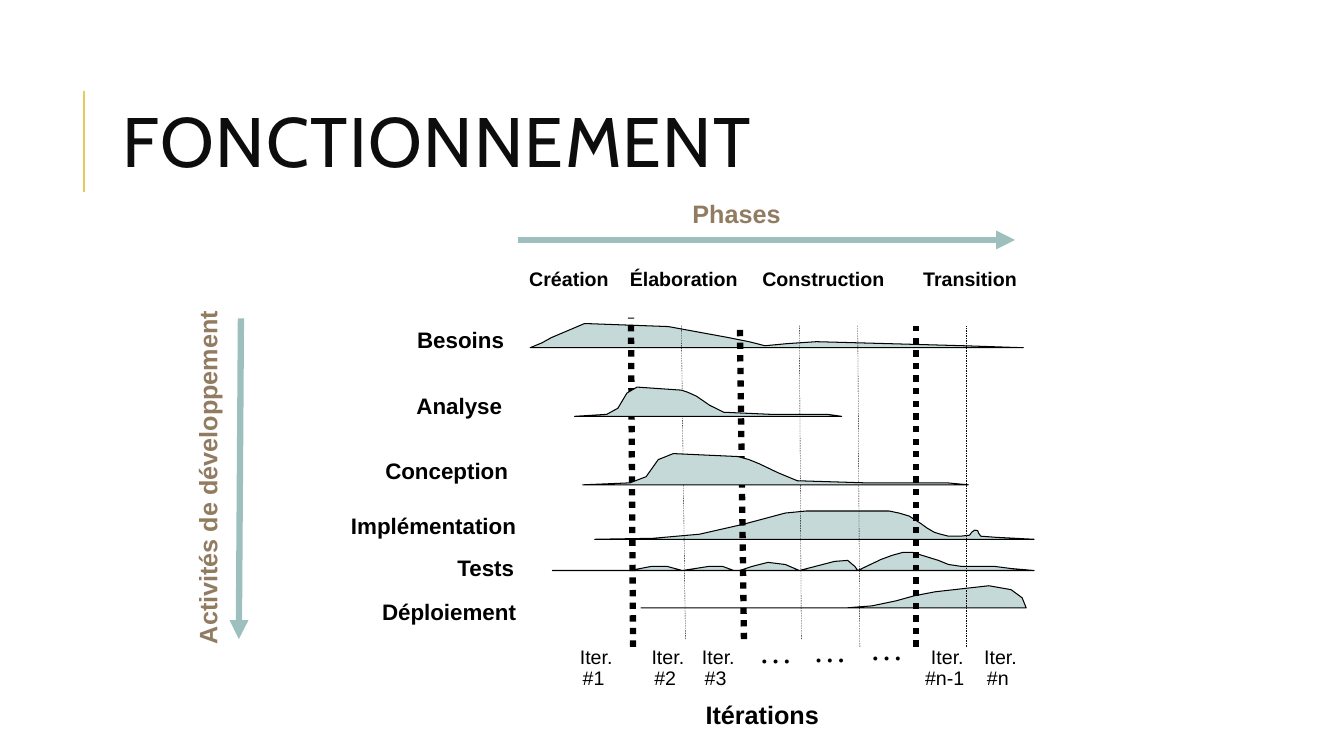
from lxml import etree
from pptx import Presentation
from pptx.dml.color import RGBColor
from pptx.enum import dml, shapes, text
from pptx.oxml.ns import qn
from pptx.util import Pt

BLACK = RGBColor(0, 0, 0)
INK = RGBColor(0x0D, 0x0D, 0x0D)
GOLD = RGBColor(0xE3, 0xCC, 0x5A)
BROWN = RGBColor(0x92, 0x7C, 0x61)
TEAL = RGBColor(0x9D, 0xBF, 0xBE)
PALE = RGBColor(0xC4, 0xD9, 0xD8)

LEFT, CENTER, RIGHT = (text.PP_ALIGN.LEFT, text.PP_ALIGN.CENTER,
                       text.PP_ALIGN.RIGHT)

BESOINS = [(6.7, 0), (15.4, 3.6), (21.8, 7.2), (45.6, 17.3), (105.4, 15.1),
           (132.7, 10.1), (148.6, 7.2), (163, 4.3), (174.5, 1.4),
           (190.3, 2.9), (211.2, 4.3), (262.3, 2.9), (316.3, 1.4), (359, 0)]
ANALYSE = [(38.4, 0), (61.4, 1.4), (69.4, 5.8), (75.8, 16.6), (83, 20.9),
           (114.7, 18.7), (119, 17.3), (125.5, 14.4), (134.9, 7.9),
           (145, 2.9), (178.8, 1.4), (219.1, 1.4), (229.2, 0)]
CONCEPT = [(44.2, 0), (78, 1.4), (89.5, 5.8), (98.2, 18), (109, 22.3),
           (155, 20.2), (163, 18), (170.2, 15.1), (183.8, 8.6),
           (197.5, 2.9), (246.2, 1.4), (304.6, 1.4), (319.7, 0)]
IMPLEM = [(52.8, 0), (94.6, 0.7), (127.7, 3.6), (159.4, 10.8), (188.9, 18.7),
          (204, 20.2), (263, 20.2), (270.2, 18.7), (277.4, 16.6),
          (285.4, 11.5), (290.4, 7.9), (295.4, 5), (299.8, 3.6),
          (305.5, 2.2), (314.2, 2.2), (320.6, 2.9), (322.1, 5),
          (324.2, 6.5), (326.4, 6.2), (327.1, 4.3), (328.6, 2.2),
          (339.4, 1.4), (366.7, 0)]
TESTS = [(22.6, 0), (78, 0), (93.1, 2.9), (104.6, 2.9), (115.4, 0),
         (134.2, 2.9), (144.2, 2.9), (152.2, 0), (156.5, 0), (165.1, 2.9),
         (176.6, 5.8), (188.9, 4.3), (199, 0), (224.2, 6.5), (233.5, 7.2),
         (238.6, 2.9), (240.7, 0), (257.3, 7.9), (265.2, 10.8), (273.1, 13),
         (279.6, 13), (298.3, 7.2), (305.5, 4.3), (314.9, 2.9),
         (338.6, 2.9), (350.2, 1.4), (366.7, 0)]
DEPLOY = [(85.9, 0), (232.8, 0), (250.8, 1.4), (268.1, 5), (281, 8.6),
          (296.2, 11.5), (334.3, 15.8), (350.2, 13), (358.1, 7.2), (361, 0)]

BACK = [("Besoins", -12, 10.4, 23.4, BESOINS),
        ("Implémentation", -3.4, 142.9, 160.2, IMPLEM),
        ("Tests", -4.8, 173.2, 182.5, TESTS),
        ("Déploiement", -3.4, 204.1, 209.2, DEPLOY)]
FRONT = [("Analyse", -13.4, 57.2, 72.4, ANALYSE),
         ("Conception", -9.1, 104, 121.3, CONCEPT)]
PHASES = [("Création", -2.6, 74), ("Élaboration", 72.2, 88.6),
          ("Construction", 170.2, 92), ("Transition", 283.9, 74)]
ITERS = [("#1", 52), ("#2", 103.2), ("#3", 139.2), ("#n-1", 302.8),
         ("#n", 340.8)]
DOTS = [(163, 221.4), (201.8, 220.7), (242.2, 219.2)]
THICK = [(80.2, 237, 78.7, 1.8), (159.4, 231.5, 156.5, 7.6),
         (282.5, 237, 282.5, 7.6)]
THIN = [(117.6, 231.5, 114.7, 7.6), (200.4, 231.5, 199, 7.6),
        (242.2, 237, 240.7, 7.6), (318.5, 237, 318.5, 7.6)]


def label(slide, x, y, w, h, lines, size, color=BLACK, bold=False,
          align=LEFT, font="Arial", inset=(0, 0), wrap=True, space=0.9):
    box = slide.shapes.add_textbox(Pt(x), Pt(y), Pt(w), Pt(h))
    frame = box.text_frame
    frame.word_wrap = wrap
    frame.margin_left = frame.margin_right = Pt(inset[0])
    frame.margin_top = frame.margin_bottom = Pt(inset[1])
    para = frame.paragraphs[0]
    para.alignment = align
    para.line_spacing = space
    for i, line in enumerate(lines):
        if i:
            para.add_line_break()
        run = para.add_run()
        run.text = line
        run.font.name = font
        run.font.size = Pt(size)
        run.font.bold = bold
        run.font.color.rgb = color
    return box


def stroke(slide, x1, y1, x2, y2, color, width, dash=None, arrow=False):
    line = slide.shapes.add_connector(
        shapes.MSO_CONNECTOR.STRAIGHT, Pt(x1), Pt(y1), Pt(x2), Pt(y2))
    line.line.color.rgb = color
    line.line.width = Pt(width)
    if dash:
        line.line.dash_style = dash
    if arrow:
        etree.SubElement(line.line._get_or_add_ln(), qn("a:tailEnd"),
                         type="triangle")
    etree.SubElement(line._element.spPr, qn("a:effectLst"))


def hump(slide, x, base, curve):
    spots = [(Pt(x + dx), Pt(base - up)) for dx, up in curve]
    form = slide.shapes.build_freeform(*spots[0], scale=1.0)
    form.add_line_segments(spots[1:], close=True)
    shape = form.convert_to_shape()
    shape.shadow.inherit = False
    shape.fill.solid()
    shape.fill.fore_color.rgb = PALE
    shape.line.color.rgb = BLACK
    shape.line.width = Pt(0)


def rows(slide, x, y, items):
    for name, right, top, base, curve in items:
        label(slide, x + right - 182, y + top, 182, 17, [name], 16,
              bold=True, align=RIGHT)
        hump(slide, x, y + base, curve)


def title(slide, x, y, w, h):
    stroke(slide, x - 20.9, y + 90.8, x - 20.9, y + 18.8, GOLD, 1.5)
    box = label(slide, x, y, w, h, ["FONCTIONNEMENT"], 50, INK,
                font="Cabin", inset=(7.2, 3.6), space=0.8)
    box.text_frame.vertical_anchor = text.MSO_ANCHOR.MIDDLE
    run = box.text_frame.paragraphs[0].runs[0]
    run.font._element.set("spc", "100")


def work(slide, x, y, w, h):
    box = label(slide, x + (w - h) / 2, y + (h - w) / 2, h, w,
                ["Activités de développement"], 18, BROWN, True)
    box.rotation = 270
    stroke(slide, x + 32.4, y + 37.4, x + 30.9, y + 266.4, TEAL, 4.5,
           arrow=True)


def phases(slide, x, y):
    label(slide, x + 122.6, y - 81, 196, 19.4, ["Phases"], 18, BROWN, True)
    stroke(slide, x - 2, y - 53.6, x + 353, y - 53.6, TEAL, 4.5, arrow=True)
    for name, dx, w in PHASES:
        label(slide, x + dx, y - 32.6, w, 15.1, [name], 14, bold=True,
              align=CENTER)


def iters(slide, x, y):
    wide = 36
    for name, mid in ITERS:
        label(slide, x + mid - wide / 2, y + 237.6, wide, 30.2,
              [" Iter.", name], 14, align=CENTER, wrap=False)
    for dx, dy in DOTS:
        label(slide, x + dx, y + dy, 39, 36.4, ["…"], 24, wrap=False,
              font="Times New Roman", inset=(7.2, 3.6), space=1.0)
    label(slide, x + 132, y + 276.8, 196, 19.4, ["Itérations"], 18,
          bold=True)


def chart(slide, x, y):
    rows(slide, x, y, BACK)
    for group, width, dash in (
            (THICK, 4.5, dml.MSO_LINE.ROUND_DOT),
            (THIN, 0.25, dml.MSO_LINE.DASH)):
        for x1, y1, x2, y2 in group:
            stroke(slide, x + x1, y + y1, x + x2, y + y2, BLACK, width, dash)
    rows(slide, x, y, FRONT)


def main():
    deck = Presentation()
    deck.slide_width, deck.slide_height = Pt(960), Pt(540)
    slide = deck.slides.add_slide(deck.slide_layouts[6])
    title(slide, 80.7, 46, 765.4, 118)
    work(slide, 139.7, 190.1, 19.4, 270)
    phases(slide, 372, 225)
    chart(slide, 372, 225)
    iters(slide, 372, 225)
    deck.save("out.pptx")


if __name__ == "__main__":
    main()
